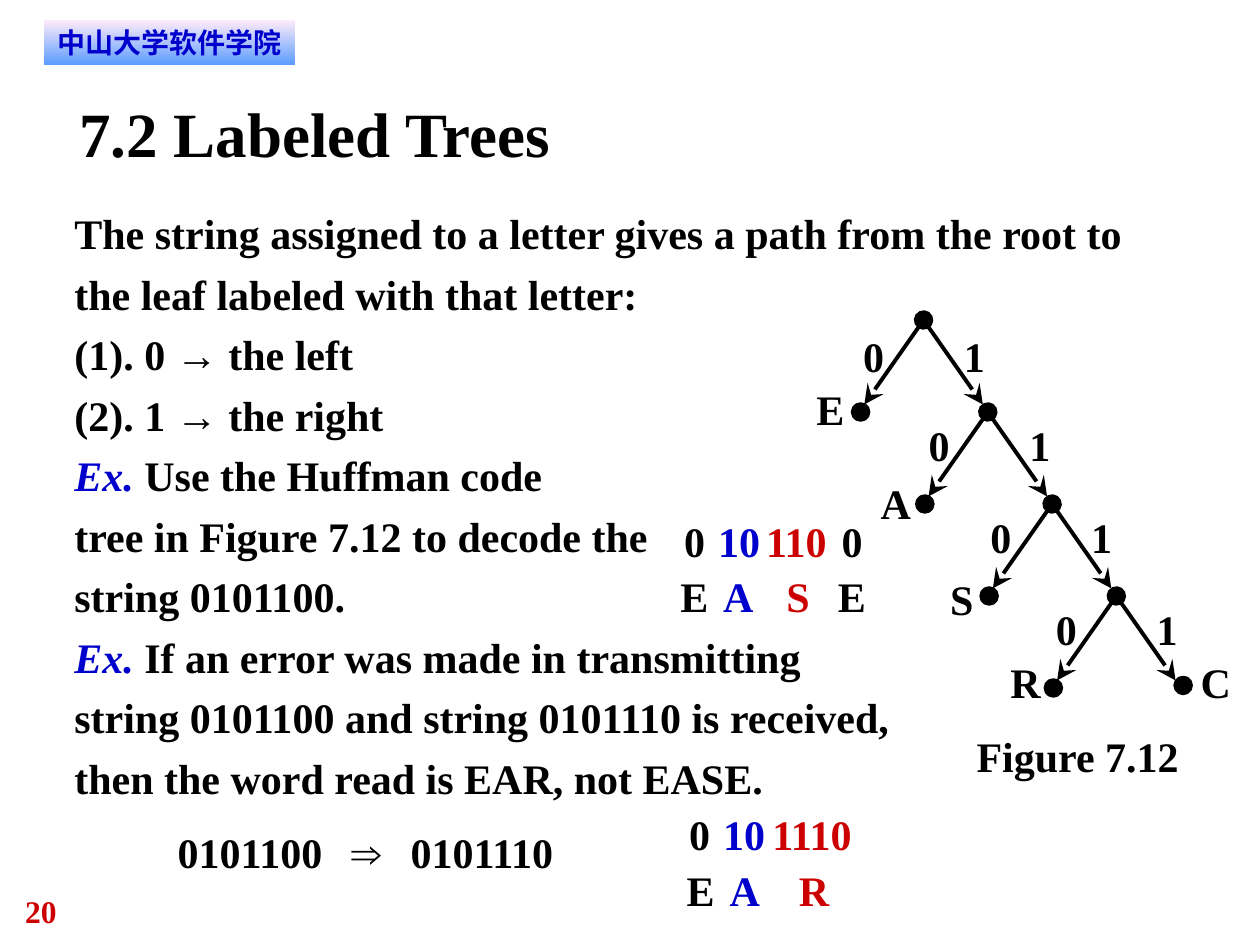
from lxml import etree
from pptx import Presentation
from pptx.dml.color import RGBColor
from pptx.enum.shapes import MSO_CONNECTOR, MSO_SHAPE
from pptx.enum.text import MSO_ANCHOR, MSO_AUTO_SIZE, PP_ALIGN
from pptx.oxml.ns import qn
from pptx.util import Inches, Pt

STRAIGHT = MSO_CONNECTOR.STRAIGHT
OVAL, RECTANGLE = MSO_SHAPE.OVAL, MSO_SHAPE.RECTANGLE
TOP, MIDDLE = MSO_ANCHOR.TOP, MSO_ANCHOR.MIDDLE
NO_FIT = MSO_AUTO_SIZE.NONE
LEFT, CENTER = PP_ALIGN.LEFT, PP_ALIGN.CENTER

BLACK, BLUE, RED = "000000", "0000CC", "CC0000"
SERIF, ARROWS, BADGE = "Times New Roman", "Arial", "DejaVu Sans"
LETTER_WIDTHS = {"E": 0.22, "A": 0.24, "S": 0.19, "R": 0.24, "C": 0.24}


def rgb(hex_color):
    return RGBColor.from_string(hex_color)


class SlideWriter:
    def __init__(self, slide):
        self.slide = slide
        self.shapes = slide.shapes

    def style(self, run, size=24, color=BLACK, font=SERIF, italic=False):
        run.font.size = Pt(size)
        run.font.bold = True
        run.font.italic = italic
        run.font.color.rgb = rgb(color)
        run.font.name = font
        for script in ("a:ea", "a:sym"):
            etree.SubElement(run._r.get_or_add_rPr(), qn(script)).set("typeface", font)

    def frame(self, shape, wrap=True, anchor=TOP):
        frame = shape.text_frame
        frame.margin_left = frame.margin_right = 0
        frame.margin_top = frame.margin_bottom = 0
        frame.auto_size = NO_FIT
        frame.word_wrap = wrap
        frame.vertical_anchor = anchor
        return frame

    def place(self, shape, left, top, width, height):
        shape.left, shape.top = Inches(left), Inches(top)
        shape.width, shape.height = Inches(width), Inches(height)

    def title(self, text, *box):
        title = self.shapes.title
        self.place(title, *box)
        paragraph = self.frame(title, anchor=MIDDLE).paragraphs[0]
        paragraph.text = text
        paragraph.alignment = LEFT
        self.style(paragraph.runs[0], size=36)

    def body(self, paragraphs, *box):
        """Fill the body with paragraphs, each a list of (text, style) pieces."""
        body = self.slide.placeholders[1]
        self.place(body, *box)
        frame = self.frame(body)
        for index, pieces in enumerate(paragraphs):
            paragraph = frame.paragraphs[0] if index == 0 else frame.add_paragraph()
            properties = paragraph._p.get_or_add_pPr()
            properties.set("marL", "0")
            properties.set("indent", "0")
            etree.SubElement(properties, qn("a:buNone"))
            paragraph.line_spacing = 1.2
            paragraph.space_before = Pt(0)
            for text, look in pieces:
                for number, line in enumerate(text.split("\n")):
                    if number:
                        paragraph.add_line_break()
                    run = paragraph.add_run()
                    run.text = line
                    self.style(run, **look)

    def label(self, text, left, top, width=None, height=0.4, **look):
        width = width or LETTER_WIDTHS[text]
        box = self.shapes.add_textbox(Inches(left), Inches(top), Inches(width), Inches(height))
        paragraph = self.frame(box, wrap=False).paragraphs[0]
        paragraph.text = text
        self.style(paragraph.runs[0], **look)

    def badge(self, text, left, top, width, height):
        badge = self.shapes.add_shape(
            RECTANGLE, Inches(left), Inches(top), Inches(width), Inches(height))
        badge.shadow.inherit = False
        badge.line.fill.background()
        badge.fill.gradient()
        badge.fill.gradient_angle = 270
        for stop, color in zip(badge.fill.gradient_stops, ("FFEBFA", "5E9EFF")):
            stop.color.rgb = rgb(color)
        paragraph = self.frame(badge, anchor=MIDDLE).paragraphs[0]
        paragraph.text = text
        paragraph.alignment = CENTER
        self.style(paragraph.runs[0], size=16, color=BLUE, font=BADGE)

    def node(self, x, y, size=0.12):
        dot = self.shapes.add_shape(
            OVAL, Inches(x - size / 2), Inches(y - size / 2), Inches(size), Inches(size))
        dot.shadow.inherit = False
        dot.fill.solid()
        dot.fill.fore_color.rgb = rgb(BLACK)
        dot.line.color.rgb = rgb(BLACK)
        dot.line.width = Pt(2.5)

    def edge(self, x, y, dx, dy, from_node=False):
        edge = self.shapes.add_connector(
            STRAIGHT, Inches(x), Inches(y), Inches(x + dx), Inches(y + dy))
        edge.line.color.rgb = rgb(BLACK)
        edge.line.width = Pt(2.25)
        ends = [("a:headEnd", "oval")] if from_node else []
        for end, kind in ends + [("a:tailEnd", "stealth")]:
            etree.SubElement(edge.line._get_or_add_ln(), qn(end), type=kind, w="lg", len="lg")
        etree.SubElement(edge._element.spPr, qn("a:effectLst"))

    def decoding(self, top, columns):
        """Write code words with the decoded letters below them."""
        for code, left, _, _, color in columns:
            self.label(code, left, top, round(len(code) / 6, 2), color=color)
        for _, _, letter, left, color in columns:
            self.label(letter, left, top + 0.44, color=color)


def draw_code_tree(writer):
    root_x, root_y = 7.33, 2.54
    step_x, step_y = 0.51, 0.73
    # Each level: leaf letter with its place, then the place of the edge label 0
    levels = [
        (("E", 6.48, 3.04), (6.85, 2.62)), (("A", 6.99, 3.79), (7.37, 3.33)),
        (("S", 7.54, 4.55), (7.86, 4.06)), (("R", 8.02, 5.21), (8.38, 4.79))]
    for level, (leaf, (zero_left, zero_top)) in enumerate(levels):
        x, y = root_x + level * step_x, root_y + level * step_y
        writer.node(x - 0.5, y + step_y)
        writer.edge(x, y, -0.47, 0.67, from_node=True)
        writer.edge(x, y, 0.47, 0.67)
        writer.label("0", zero_left, zero_top, 0.17)
        writer.label("1", zero_left + 0.8, zero_top, 0.17)
        writer.label(*leaf)
    depth = len(levels)
    writer.node(root_x + depth * step_x + 0.02, root_y + depth * step_y - 0.02)
    writer.label("C", 9.53, 5.21)
    writer.label("Figure 7.12", 7.75, 5.8, 1.61)


def main():
    deck = Presentation()
    deck.slide_width, deck.slide_height = Inches(10), Inches(7.5)
    writer = SlideWriter(deck.slides.add_slide(deck.slide_layouts[1]))

    example = ("Ex.", {"color": BLUE, "italic": True})
    arrow = ("→", {"font": ARROWS})
    writer.badge("中山大学软件学院", 0.35, 0.16, 1.99, 0.35)
    writer.title("7.2 Labeled Trees", 0.63, 0.75, 8.75, 0.6)
    writer.body([
        [("The string assigned to a letter gives a path from the root to "
          "the leaf labeled with that letter:", {})],
        [("(1). 0 ", {}), arrow, (" the left", {})],
        [("(2). 1 ", {}), arrow, (" the right", {})],
        [example, (" Use the Huffman code\ntree in Figure 7.12 to decode the\n"
                   "string 0101100.", {})],
        [example, (" If an error was made in transmitting\n"
                   "string 0101100 and string 0101110 is received,\n"
                   "then the word read is EAR, not EASE.", {})],
    ], 0.59, 1.57, 8.76, 4.8)

    draw_code_tree(writer)
    writer.decoding(4.09, [
        ("0", 5.43, "E", 5.4, BLACK), ("10", 5.7, "A", 5.74, BLUE),
        ("110", 6.08, "S", 6.24, RED), ("0", 6.68, "E", 6.65, BLACK)])
    writer.decoding(6.42, [
        ("0", 5.47, "E", 5.45, BLACK), ("10", 5.74, "A", 5.79, BLUE),
        ("1110", 6.13, "R", 6.34, RED)])

    writer.label("0101100", 1.41, 6.56, 1.17)
    writer.label("⇒", 2.79, 6.56, 0.27, font=ARROWS)
    writer.label("0101110", 3.26, 6.56, 1.17)
    writer.label("20", 0.2, 7.08, 0.75, 0.3, size=18, color=RED)
    deck.save("out.pptx")


if __name__ == "__main__":
    main()
